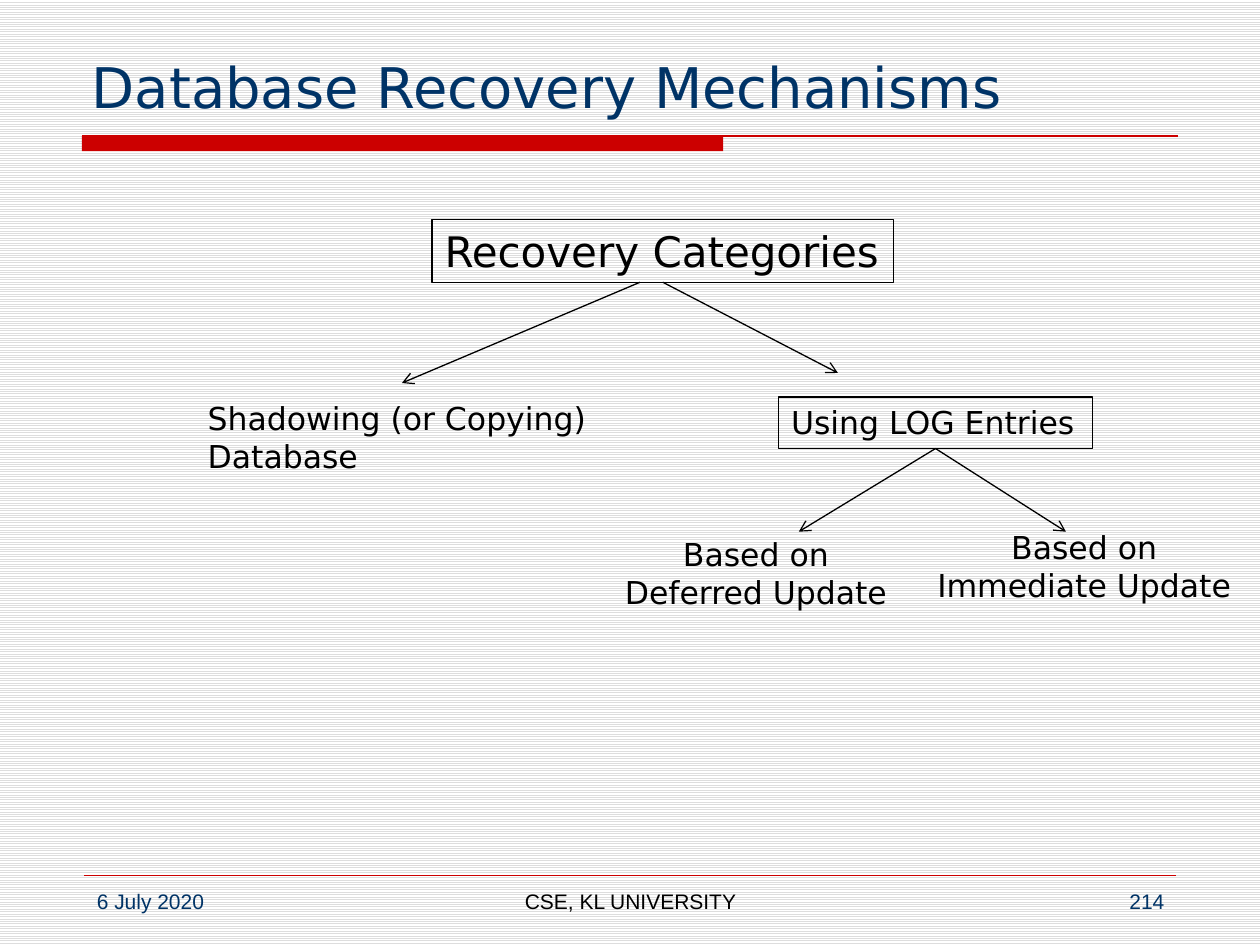
from lxml.etree import SubElement
from pptx import Presentation
from pptx.dml.color import RGBColor
from pptx.enum.dml import MSO_PATTERN
from pptx.enum.shapes import MSO_CONNECTOR, MSO_SHAPE
from pptx.enum.text import MSO_ANCHOR, MSO_AUTO_SIZE, PP_ALIGN
from pptx.oxml.ns import qn
from pptx.util import Inches, Pt

WIDTH, HEIGHT = 10, 7.5
COLORS = {"navy": "003366", "red": "CC0000", "black": "000000",
          "stripe": "DDDDDD", "paper": "FFFFFF"}
HEADING_FONT, FOOTER_FONT = "DejaVu Sans", "Arial"
LEFT, CENTER, RIGHT = PP_ALIGN.LEFT, PP_ALIGN.CENTER, PP_ALIGN.RIGHT

TITLE = "Database Recovery Mechanisms"
FOOTERS = [
    ("6 July 2020", 0.67, 2.17, LEFT, "navy"),
    ("CSE, KL UNIVERSITY", 3.42, 3.17, CENTER, "black"),
    ("214", 7.17, 2.17, RIGHT, "navy"),
]
NODES = {
    "root": (["Recovery Categories"], (3.43, 1.74, 3.66, 0.5), 24, LEFT, True),
    "shadowing": (["Shadowing (or Copying)", "Database"], (1.55, 3.12, 3.28, 0.71), 18, LEFT, False),
    "log": (["Using LOG Entries"], (6.18, 3.15, 2.49, 0.41), 18, LEFT, True),
    "deferred": (["Based on", "Deferred Update"], (4.85, 4.2, 2.3, 0.71), 18, CENTER, False),
    "immediate": (["Based on", "Immediate Update"], (7.32, 4.14, 2.57, 0.71), 18, CENTER, False),
}
ARROWS = [
    (None, (5.08, 2.24), (3.19, 3.04)),
    ("root", (5.26, 2.24), (6.65, 2.96)),
    ("log", (7.43, 3.56), (6.34, 4.22)),
    ("log", (7.43, 3.56), (8.46, 4.22)),
]


def color(name):
    return RGBColor.from_string(COLORS[name])


def inches(values):
    return [Inches(value) for value in values]


def write(box, lines, size, font, tint, align):
    for index, line in enumerate(lines):
        para = box.text_frame.paragraphs[0] if index == 0 else box.text_frame.add_paragraph()
        para.alignment = align
        span = para.add_run()
        span.text = line
        span.font.size = Pt(size)
        span.font.name = font
        span.font.color.rgb = color(tint)


def add_rectangle(page, place):
    box = page.shapes.add_shape(MSO_SHAPE.RECTANGLE, *inches(place))
    box.shadow.inherit = False
    return box


def add_text(page, place, lines, size, font, tint, align=LEFT, anchor=MSO_ANCHOR.TOP):
    box = page.shapes.add_textbox(*inches(place))
    box.text_frame.word_wrap = True
    box.text_frame.vertical_anchor = anchor
    write(box, lines, size, font, tint, align)


def add_node(page, lines, place, size, align, framed):
    if framed:
        box = add_rectangle(page, place)
        box.fill.background()
        box.line.color.rgb = color("black")
        box.line.width = Pt(0.75)
    else:
        box = page.shapes.add_textbox(*inches(place))
    box.text_frame.word_wrap = False
    box.text_frame.auto_size = MSO_AUTO_SIZE.SHAPE_TO_FIT_TEXT
    box.text_frame.vertical_anchor = MSO_ANCHOR.TOP
    write(box, lines, size, HEADING_FONT, "black", align)
    return box


def add_line(page, start, end, tint, width):
    line = page.shapes.add_connector(MSO_CONNECTOR.STRAIGHT, *inches(start + end))
    line.line.color.rgb = color(tint)
    line.line.width = Pt(width)
    SubElement(line._element.spPr, qn("a:effectLst"))
    return line


def add_arrow(page, start, end, source):
    arrow = add_line(page, start, end, "black", 0.75)
    if source is not None:
        arrow.begin_connect(source, 2)
    SubElement(arrow.line._get_or_add_ln(), qn("a:tailEnd"), type="arrow")


def main():
    deck = Presentation()
    deck.slide_width, deck.slide_height = inches((WIDTH, HEIGHT))
    page = deck.slides.add_slide(deck.slide_layouts[6])

    backdrop = page.background.fill
    backdrop.patterned()
    backdrop.pattern = MSO_PATTERN.LIGHT_HORIZONTAL
    backdrop.fore_color.rgb = color("stripe")
    backdrop.back_color.rgb = color("paper")

    bar = add_rectangle(page, (0.65, 1.08, 5.09, 0.12))
    bar.fill.solid()
    bar.fill.fore_color.rgb = color("red")
    bar.line.fill.background()
    add_line(page, (0.65, 1.08), (9.35, 1.08), "red", 0.75)
    add_line(page, (0.67, 6.95), (9.33, 6.95), "red", 0.25)

    add_text(page, (0.63, 0.17, 8.75, 0.83), [TITLE], 32, HEADING_FONT, "navy",
             anchor=MSO_ANCHOR.BOTTOM)
    for text, left, width, align, tint in FOOTERS:
        add_text(page, (left, 7, width, 0.35), [text], 12, FOOTER_FONT, tint, align)

    boxes = {name: add_node(page, *node) for name, node in NODES.items()}
    for source, start, end in ARROWS:
        add_arrow(page, start, end, boxes.get(source))

    deck.save("out.pptx")


if __name__ == "__main__":
    main()
